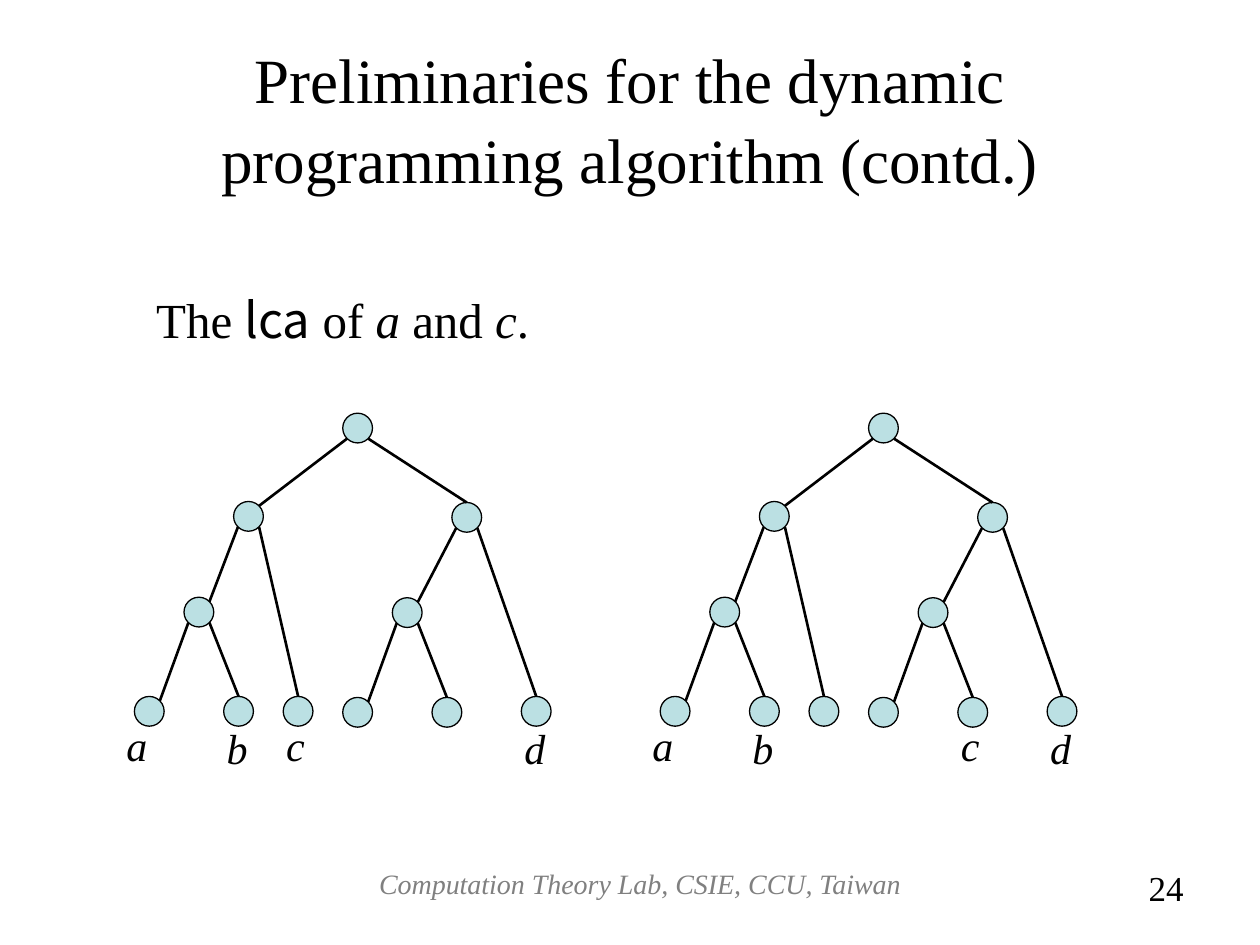
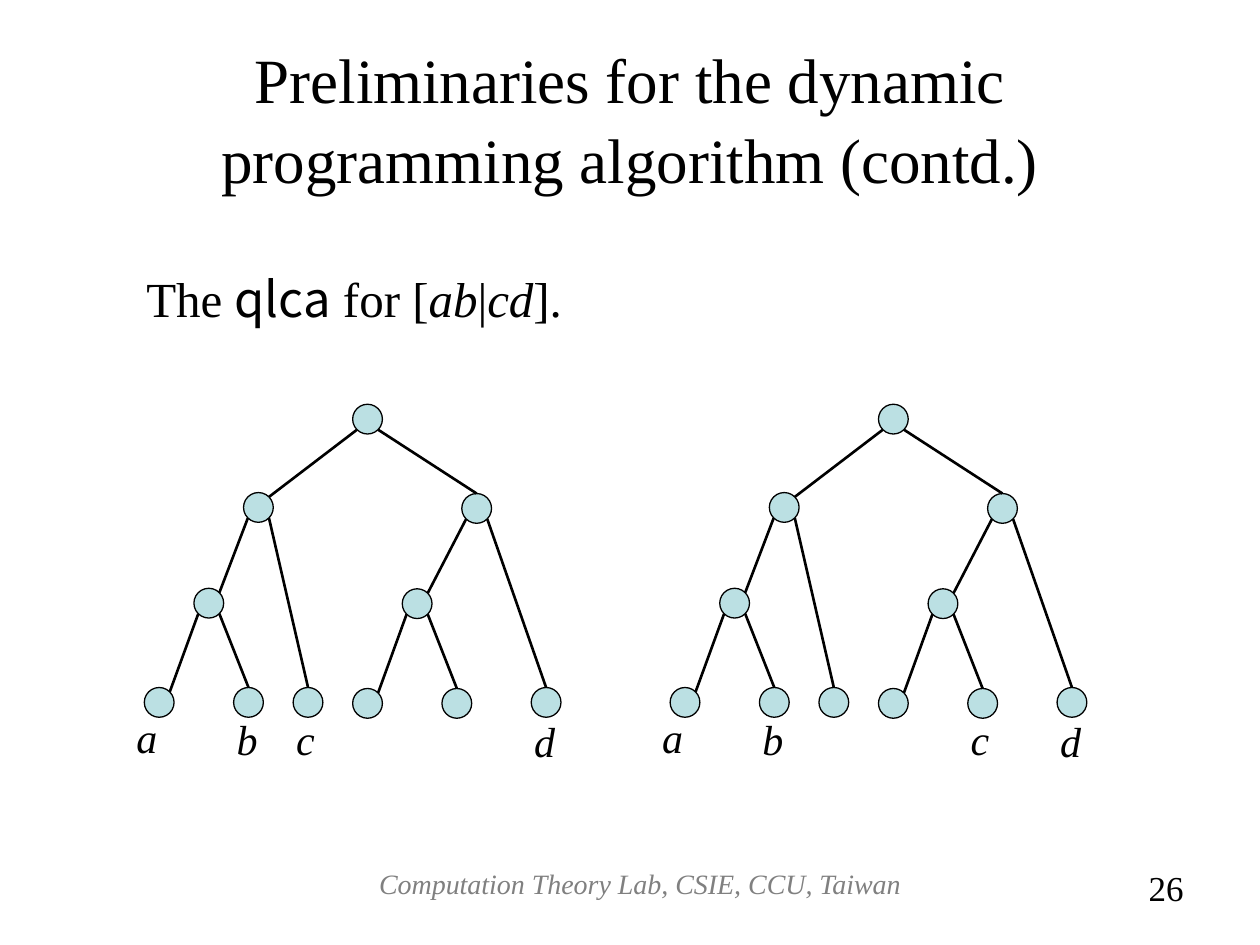
from math import sqrt
from lxml import etree
from pptx import Presentation
from pptx.dml.color import RGBColor
from pptx.enum import shapes, text
from pptx.oxml.ns import qn
from pptx.util import Cm, Pt

COLORS = {"ink": "000000", "node": "BBE0E3", "footer": "808080"}
SERIF, SANS = "Times New Roman", "Noto Sans CJK SC"
TITLE = "Preliminaries for the dynamic programming algorithm (contd.)"
FOOTER = "Computation Theory Lab, CSIE, CCU, Taiwan"

RADIUS = 0.3
DIAGONAL = RADIUS / sqrt(2)
TREE_GAP = 10.6
NODES = {
    "root": (0, 0),
    "left": (-2.2, 1.78), "right": (2.2, 1.8),
    "left pair": (-3.2, 3.71), "right pair": (1, 3.72),
    "leaf 1": (-4.2, 5.71), "leaf 2": (-2.4, 5.71), "leaf 3": (-1.2, 5.71),
    "leaf 4": (0, 5.73), "leaf 5": (1.8, 5.73), "leaf 6": (3.6, 5.71),
}
CHILDREN = {
    "root": ("left", "right"),
    "left": ("left pair", "leaf 3"), "right": ("right pair", "leaf 6"),
    "left pair": ("leaf 1", "leaf 2"), "right pair": ("leaf 4", "leaf 5"),
}
TREE_LABELS = [
    {"a": "leaf 1", "b": "leaf 2", "c": "leaf 3", "d": "leaf 6"},
    {"a": "leaf 1", "b": "leaf 2", "c": "leaf 5", "d": "leaf 6"},
]
LABEL_SHIFT = {"a": -0.71, "b": -0.49, "c": -0.49, "d": -0.49}

SLIDES = [
    {"number": "24", "root": (7.21, 8.63), "caption_box": (2.9, 5.72, 9.8, 1.45),
     "caption": [("The ", SERIF, False), ("lca", SANS, False), (" of ", SERIF, False),
                 ("a", SERIF, True), (" and ", SERIF, False), ("c", SERIF, True),
                 (".", SERIF, False)],
     "label_tops": {"a": 14.38, "b": 14.44, "c": 14.38, "d": 14.44}},
    {"number": "26", "root": (7.41, 8.45), "caption_box": (2.7, 5.28, 12.6, 1.45),
     "caption": [("The ", SERIF, False), ("qlca", SANS, False), (" for [", SERIF, False),
                 ("ab", SERIF, True), ("|", SERIF, False), ("cd", SERIF, True),
                 ("].", SERIF, False)],
     "label_tops": {"a": 14.22, "b": 14.26, "c": 14.26, "d": 14.3}},
]


def add_run(p, words, size, font=SERIF, italic=False, color="ink"):
    r = p.add_run()
    r.text = words
    r.font.size = Pt(size)
    r.font.name = font
    r.font.italic = italic
    r.font.color.rgb = RGBColor.from_string(COLORS[color])


def add_text(s, box, align=text.PP_ALIGN.LEFT, grow=False):
    tf = s.shapes.add_textbox(*[Cm(v) for v in box]).text_frame
    tf.word_wrap = True
    if grow:
        tf.auto_size = text.MSO_AUTO_SIZE.SHAPE_TO_FIT_TEXT
    p = tf.paragraphs[0]
    p.alignment = align
    return p


prs = Presentation()
prs.slide_width, prs.slide_height = Cm(25.4), Cm(19.05)

for page in SLIDES:
    s = prs.slides.add_slide(prs.slide_layouts[5])
    title = s.shapes.title
    title.left, title.top, title.width, title.height = Cm(1.27), Cm(0.76), Cm(22.86), Cm(3.18)
    tf = title.text_frame
    tf.word_wrap = True
    tf.auto_size = text.MSO_AUTO_SIZE.NONE
    tf.vertical_anchor = text.MSO_ANCHOR.MIDDLE
    tf.margin_left = tf.margin_right = Cm(0.3)
    p = tf.paragraphs[0]
    p.alignment = text.PP_ALIGN.CENTER
    p.line_spacing = 1.05
    add_run(p, TITLE, 36)

    for tree, labels in enumerate(TREE_LABELS):
        root_x, root_y = page["root"][0] + tree * TREE_GAP, page["root"][1]
        centers = {name: (root_x + dx, root_y + dy) for name, (dx, dy) in NODES.items()}
        circles = {}
        for name, (x, y) in centers.items():
            sp = s.shapes.add_shape(shapes.MSO_SHAPE.OVAL, Cm(x - RADIUS), Cm(y - RADIUS),
                                    Cm(2 * RADIUS), Cm(2 * RADIUS))
            sp.shadow.inherit = False
            sp.fill.solid()
            sp.fill.fore_color.rgb = RGBColor.from_string(COLORS["node"])
            sp.line.color.rgb = RGBColor.from_string(COLORS["ink"])
            sp.line.width = Pt(0.75)
            circles[name] = sp

        for parent, pair in CHILDREN.items():
            x, y = centers[parent]
            for child, side in zip(pair, (-1, 1)):
                child_x, child_y = centers[child]
                edge = s.shapes.add_connector(
                    shapes.MSO_CONNECTOR.STRAIGHT,
                    Cm(x + side * DIAGONAL), Cm(y + DIAGONAL),
                    Cm(child_x + DIAGONAL), Cm(child_y - DIAGONAL))
                if side == 1:
                    edge.end_connect(circles[child], 0)
                edge.line.color.rgb = RGBColor.from_string(COLORS["ink"])
                edge.line.width = Pt(1.5)
                etree.SubElement(edge._element.spPr, qn("a:effectLst"))

        for letter, leaf in labels.items():
            left = centers[leaf][0] + LABEL_SHIFT[letter]
            p = add_text(s, (left, page["label_tops"][letter], 1, 1.27), grow=True)
            add_run(p, letter, 24, italic=True)

    p = add_text(s, page["caption_box"], grow=True)
    for words, font, italic in page["caption"]:
        add_run(p, words, 28, font, italic)

    p = add_text(s, (6.1, 17.35, 13.61, 1.32), text.PP_ALIGN.CENTER)
    add_run(p, FOOTER, 16, italic=True, color="footer")
    p = add_text(s, (20.3, 17.35, 3.81, 1.32), text.PP_ALIGN.RIGHT)
    add_run(p, page["number"], 20)

prs.save("out.pptx")
